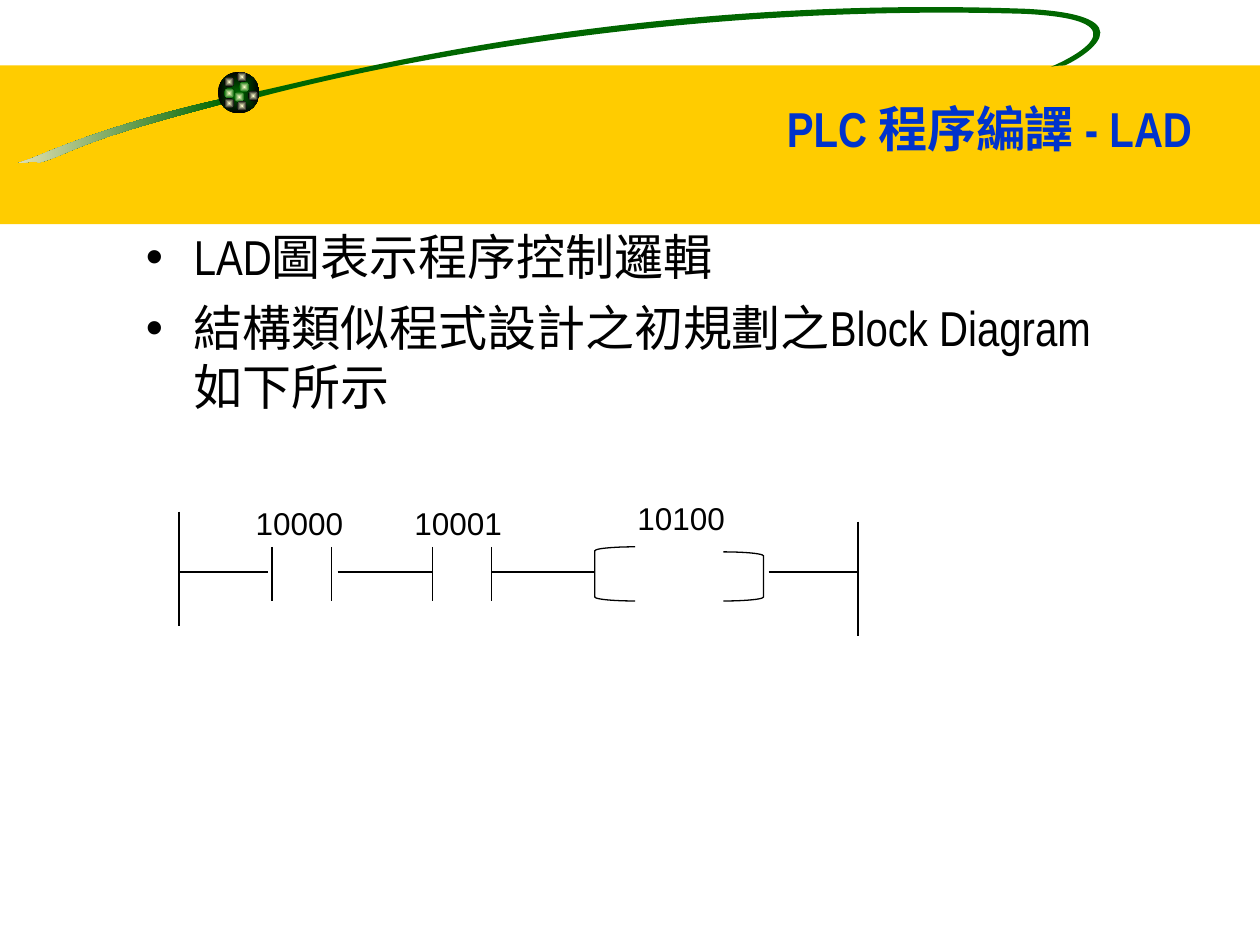
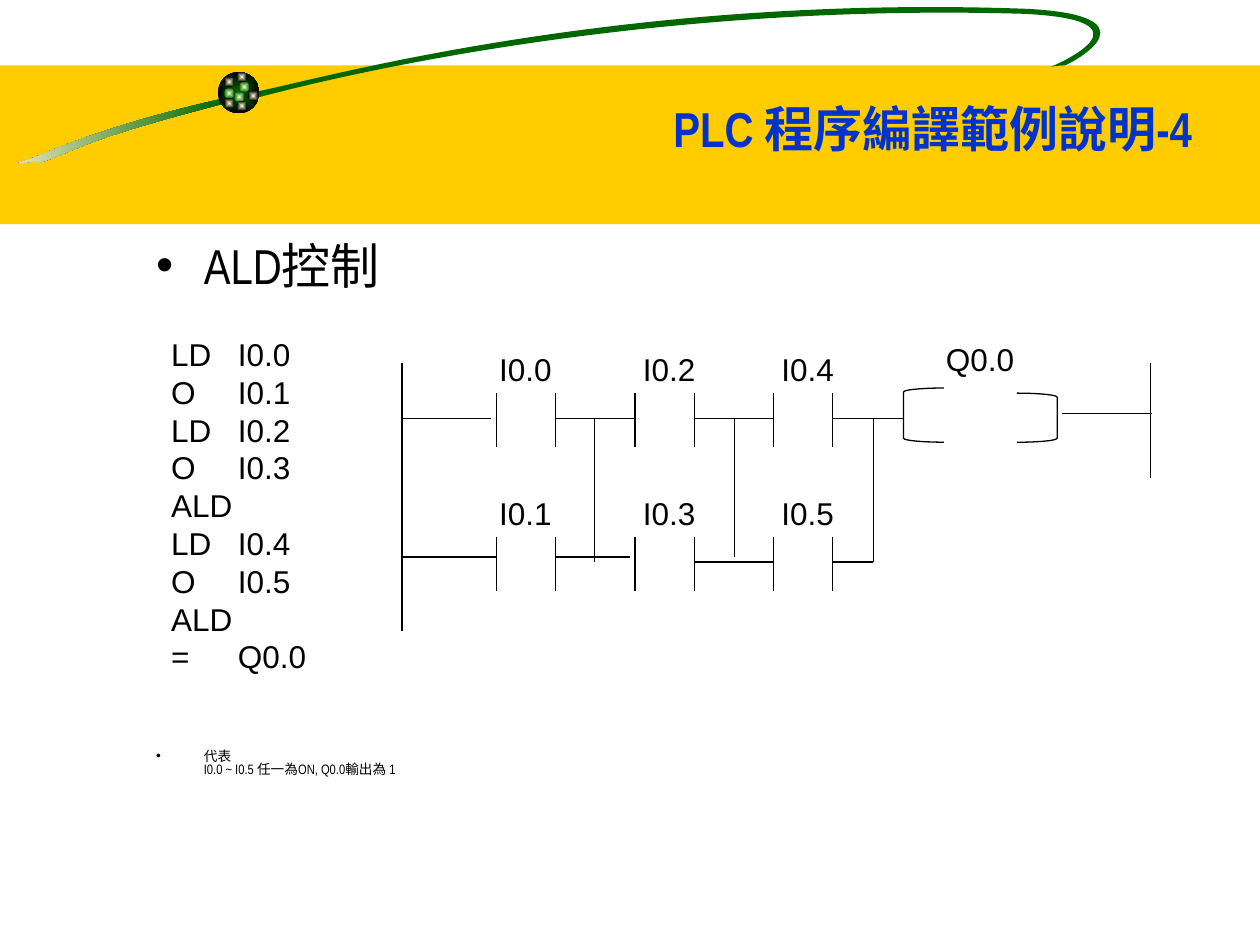
from lxml import etree
from pptx import Presentation
from pptx.dml.color import RGBColor
from pptx.enum.shapes import MSO_CONNECTOR, MSO_SHAPE
from pptx.enum.text import MSO_ANCHOR, PP_ALIGN
from pptx.oxml.ns import qn
from pptx.util import Inches, Pt

COLORS = {"band": "FFCC00", "title": "0033CC", "ink": "000000", "green": "006600",
          "cream": "F5EBC1", "glow": "FFFFCC"}
POLE_GAP, POLE_HEIGHT, BRACKET_WIDTH = 0.47, 0.43, 0.32
TITLE_BOX = (0.35, 0.6, 9.21, 0.7)
TITLE_STYLE = {"size": Pt(28), "name": "Arial Narrow", "bold": True}
BODY_STYLE = {"size": Pt(28), "name": "Arial Narrow"}
NOTE_STYLE = {"size": Pt(7.8), "name": "Arial Narrow"}
LABEL_STYLE = {"size": Pt(18), "name": "Arial"}

TAIL = [(1.78, 0.78),
        (0.91, 0.98), (0.49, 1.16), (0.25, 1.26),
        (0.01, 1.34), (0.26, 1.26), (0.31, 1.29),
        (0.57, 1.22), (0.57, 1.13), (1.79, 0.82)]
ORBIT = [(2.02, 0.73),
         (2.46, 0.65), (4.86, -0.05), (8.14, 0.07),
         (9.17, 0.12), (8.57, 0.47), (8.45, 0.52),
         (8.45, 0.52), (8.38, 0.52), (8.34, 0.53),
         (8.44, 0.49), (9.16, 0.16), (8.13, 0.11),
         (5.48, 0.03), (3.2, 0.47), (2.06, 0.77)]
DOTS = [(1.9, 0.65, "green"), (1.78, 0.61, "ink"), (1.78, 0.7, "green"), (1.86, 0.73, "green"),
        (1.97, 0.72, "ink"), (1.88, 0.8, "ink"), (1.78, 0.78, "ink"), (1.88, 0.57, "ink")]

SLIDES = [
    {"title": "PLC 程序編譯 - LAD",
     "bullets": [((1.06, 1.75, 8.44, 1.69), BODY_STYLE, {"space_before": Pt(7)},
                  ["LAD圖表示程序控制邏輯", "結構類似程式設計之初規劃之Block Diagram\v如下所示"])],
     "code": [],
     "label_align": PP_ALIGN.LEFT,
     "contacts": [("10000", 2.16, 4.34, 1.93), ("10001", 3.43, 4.34, 3.19)],
     "coil": ("10100", 4.72, 4.34, 1.34),
     "wires": [(1.42, 4.06, 1.42, 4.97), (6.81, 4.14, 6.81, 5.05),
               (1.42, 4.54, 2.13, 4.54), (2.68, 4.54, 3.43, 4.54),
               (3.9, 4.54, 4.72, 4.54), (6.1, 4.54, 6.81, 4.54)]},
    {"title": "PLC 程序編譯範例說明-4",
     "bullets": [((1.14, 1.82, 8.44, 0.62), BODY_STYLE, {"space_before": Pt(7)}, ["ALD控制"]),
                 ((1.14, 5.91, 8.44, 0.43), NOTE_STYLE,
                  {"space_before": Pt(6), "line_spacing": 0.8},
                  ["代表\vI0.0 ~ I0.5 任一為ON, Q0.0輸出為 1"])],
     "code": ["LD\tI0.0", "O\tI0.1", "LD\tI0.2", "O\tI0.3", "ALD",
              "LD\tI0.4", "O\tI0.5", "ALD", "=\tQ0.0"],
     "label_align": PP_ALIGN.CENTER,
     "contacts": [(f"I0.{2 * column + row}", 3.94 + 1.1 * column, 3.12 + 1.14 * row, label_left)
                  for column, label_left in enumerate((3.7, 4.84, 5.94)) for row in range(2)],
     "coil": ("Q0.0", 7.17, 3.08, 1.22),
     "wires": [(3.19, 2.88, 3.19, 5.01), (9.13, 2.88, 9.13, 3.79),
               (3.19, 3.32, 3.9, 3.32), (4.41, 3.32, 5.04, 3.32),
               (5.51, 3.32, 6.14, 3.32), (6.61, 3.32, 7.17, 3.32), (8.43, 3.28, 9.14, 3.28),
               (3.19, 4.42, 3.94, 4.42), (4.41, 4.42, 5, 4.42),
               (5.51, 4.46, 6.14, 4.46), (6.61, 4.46, 6.93, 4.46),
               (4.72, 3.32, 4.72, 4.46), (5.83, 3.32, 5.83, 4.42), (6.93, 4.46, 6.93, 3.32)]},
]


def color(name):
    """Return the named colour."""
    return RGBColor.from_string(COLORS[name])


def apply(target, values):
    """Set each attribute in values on the target."""
    for name, value in values.items():
        setattr(target, name, value)


def write(frame, lines, style, ink="ink", layout=None):
    """Fill a text frame with one styled paragraph per line."""
    frame.word_wrap = True
    for index, line in enumerate(lines):
        para = frame.add_paragraph() if index else frame.paragraphs[0]
        para.text = line
        apply(para, layout or {})
        for span in para.runs:
            apply(span.font, style)
            span.font.color.rgb = color(ink)


def add_text(page, place, lines, style, layout=None):
    """Add a text box and return its paragraphs."""
    box = page.shapes.add_textbox(*map(Inches, place))
    write(box.text_frame, lines, style, layout=layout)
    return box.text_frame.paragraphs


def add_bullets(page, place, style, layout, lines):
    """Add a bulleted text box with hanging indents."""
    for para in add_text(page, place, lines, style, layout):
        properties = para._p.get_or_add_pPr()
        properties.set("marL", str(Inches(0.38)))
        properties.set("indent", str(-Inches(0.38)))
        etree.SubElement(properties, qn("a:buFont")).set("typeface", "Arial")
        etree.SubElement(properties, qn("a:buChar")).set("char", "•")


def add_code(page, lines):
    """Add the instruction list with operands on one tab stop."""
    for para in add_text(page, (1.26, 2.61, 2.05, 2.8), lines, LABEL_STYLE):
        stops = etree.SubElement(para._p.get_or_add_pPr(), qn("a:tabLst"))
        stop = etree.SubElement(stops, qn("a:tab"))
        stop.set("pos", str(Inches(0.53)))
        stop.set("algn", "l")


def add_wire(page, *ends):
    """Draw one straight thin line."""
    wire = page.shapes.add_connector(MSO_CONNECTOR.STRAIGHT, *map(Inches, ends))
    wire.line.width = Pt(0.74)
    wire.line.color.rgb = color("ink")
    etree.SubElement(wire._element.spPr, qn("a:effectLst"))


def add_contact(page, align, label, left, top, label_left):
    """Draw the two poles of a contact and its label."""
    for x in (left, left + POLE_GAP):
        add_wire(page, x, top, x, top + POLE_HEIGHT)
    add_text(page, (label_left, top - 0.39, 0.94, 0.4), [label], LABEL_STYLE,
             {"alignment": align, "space_before": Pt(11.2)})


def add_coil(page, label, left, top, width):
    """Draw the two brackets of a coil and its label."""
    right = left + width - BRACKET_WIDTH
    for kind, x, drop in ((MSO_SHAPE.LEFT_BRACKET, left, 0), (MSO_SHAPE.RIGHT_BRACKET, right, 0.04)):
        place = (x, top + drop, BRACKET_WIDTH, POLE_HEIGHT - drop)
        bracket = page.shapes.add_shape(kind, *map(Inches, place))
        bracket.adjustments[0] = 0.1
        bracket.shadow.inherit = False
        bracket.fill.background()
        bracket.line.width = Pt(0.74)
        bracket.line.color.rgb = color("ink")
    add_text(page, (left + 0.24, top - 0.43, 0.94, 0.4), [label], LABEL_STYLE,
             {"space_before": Pt(11.2)})


def paint(shape, first, last=None, centred=False):
    """Fill a shape plainly, or with a linear or centred gradient."""
    shape.shadow.inherit = False
    shape.line.fill.background()
    if last is None:
        shape.fill.solid()
        shape.fill.fore_color.rgb = color(first)
        return
    shape.fill.gradient()
    shape.fill.gradient_angle = 180
    for stop, name in zip(shape.fill.gradient_stops, (first, last)):
        stop.color.rgb = color(name)
    if centred:
        gradient = shape._element.spPr.find(qn("a:gradFill"))
        gradient.remove(gradient.find(qn("a:lin")))
        shade = etree.SubElement(gradient, qn("a:path"))
        shade.set("path", "rect")
        middle = etree.SubElement(shade, qn("a:fillToRect"))
        for side in "ltrb":
            middle.set(side, "50000")


def add_curve(shapes, outline):
    """Build a closed outline whose segments are cubic curves."""
    points = [tuple(map(Inches, point)) for point in outline]
    builder = shapes.build_freeform(*points[0])
    builder.add_line_segments(points[1:], close=True)
    shape = builder.convert_to_shape()
    segments = list(shape._element.iter(qn("a:lnTo")))[:len(points) - 1]
    for start in range(0, len(segments), 3):
        curve = etree.Element(qn("a:cubicBezTo"))
        segments[start].addprevious(curve)
        for segment in segments[start:start + 3]:
            curve.append(segment[0])
            segment.getparent().remove(segment)
    return shape


def add_header(page, layout):
    """Draw the band, orbit and ball once and place them on the layout."""
    group = page.shapes.add_group_shape()
    shapes = group.shapes
    paint(shapes.add_shape(MSO_SHAPE.RECTANGLE, *map(Inches, (0, 0.52, 10, 1.26))), "band")
    paint(add_curve(shapes, TAIL), "green", "cream")
    paint(add_curve(shapes, ORBIT), "green")
    balls = [(1.73, 0.57, 0.33, "green", "ink")]
    balls += [(left, top, 0.08, "glow", edge) for left, top, edge in DOTS]
    for left, top, size, core, edge in balls:
        ball = shapes.add_shape(MSO_SHAPE.OVAL, *map(Inches, (left, top, size, size)))
        paint(ball, core, edge, centred=True)
    layout.shapes.element.insert(2, group._element)


def add_title(page, text):
    """Place and format the title placeholder."""
    title = page.shapes.title
    apply(title, dict(zip(("left", "top", "width", "height"), map(Inches, TITLE_BOX))))
    title.text_frame.vertical_anchor = MSO_ANCHOR.BOTTOM
    write(title.text_frame, [text], TITLE_STYLE, "title", {"alignment": PP_ALIGN.RIGHT})


deck = Presentation()
deck.slide_width, deck.slide_height = Inches(10), Inches(7.5)
title_only = deck.slide_layouts[5]
for number, content in enumerate(SLIDES):
    page = deck.slides.add_slide(title_only)
    if number == 0:
        add_header(page, title_only)
    add_title(page, content["title"])
    for bullets in content["bullets"]:
        add_bullets(page, *bullets)
    if content["code"]:
        add_code(page, content["code"])
    for ends in content["wires"]:
        add_wire(page, *ends)
    for contact in content["contacts"]:
        add_contact(page, content["label_align"], *contact)
    add_coil(page, *content["coil"])
deck.save("out.pptx")
